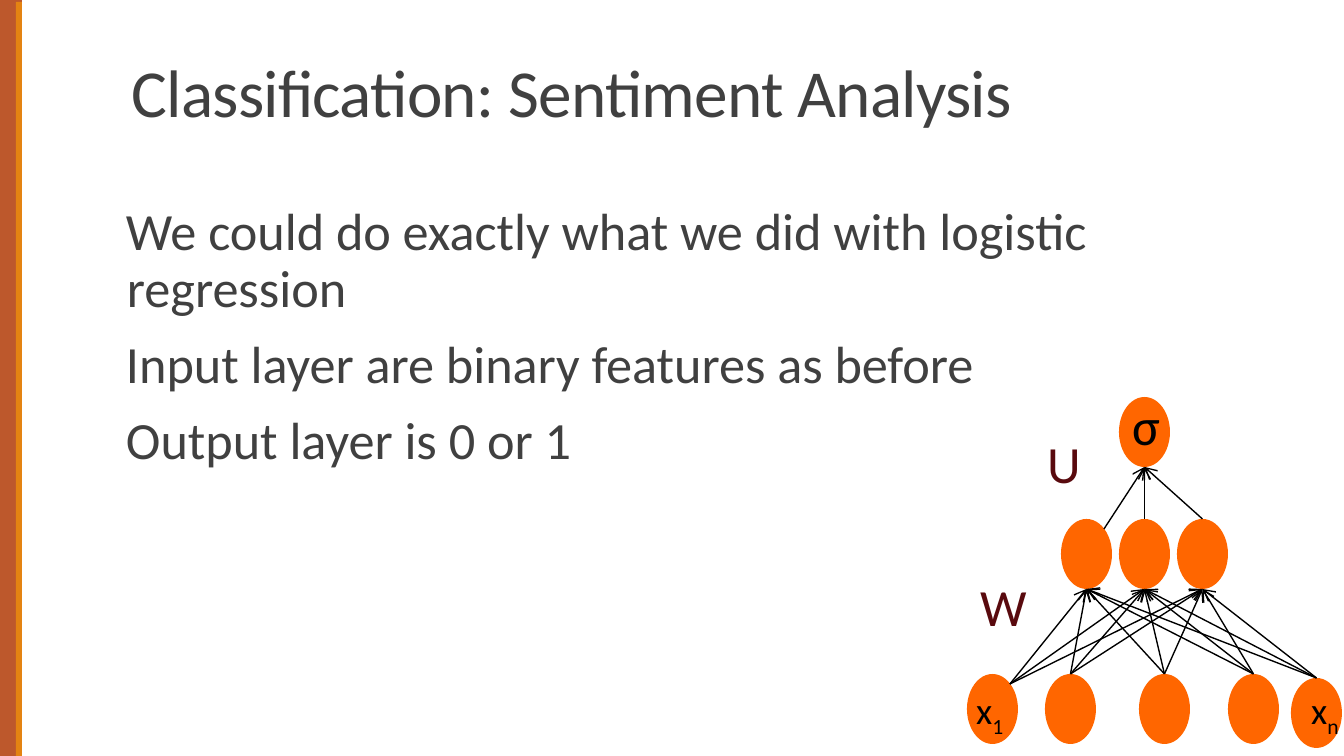
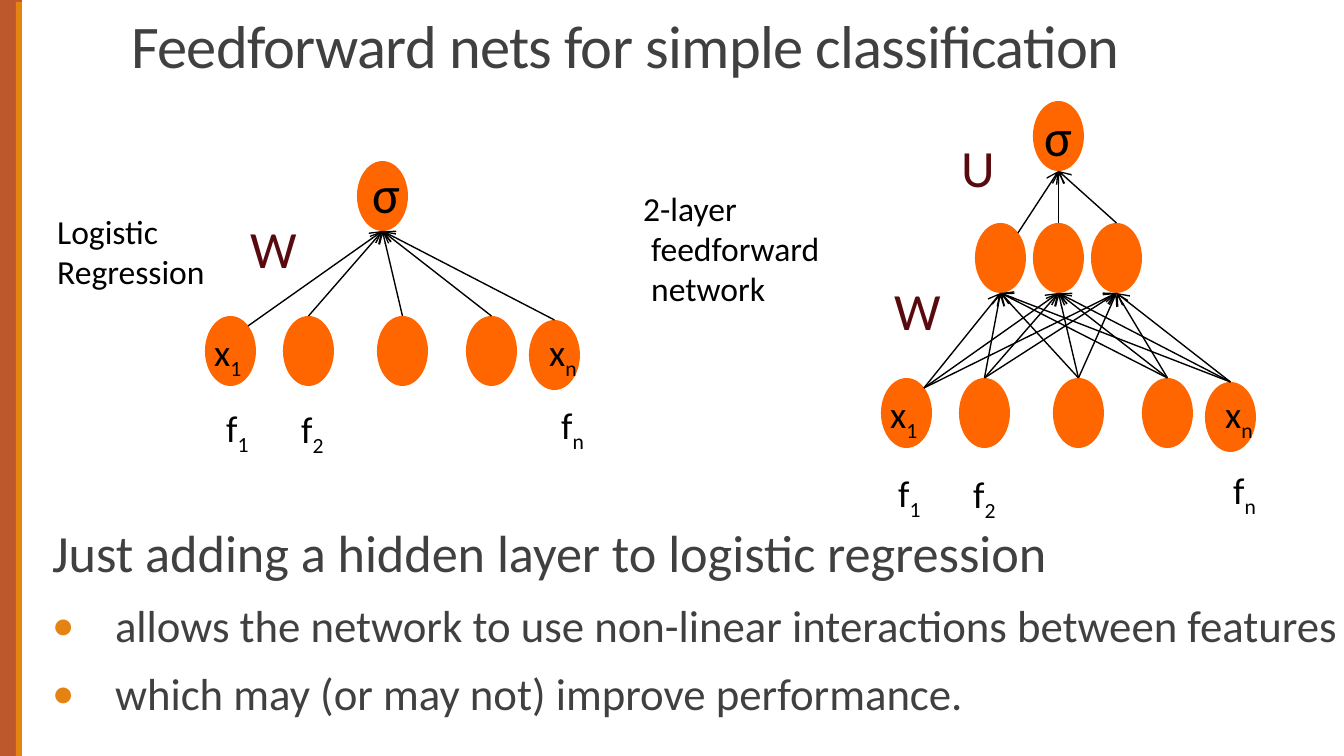
from lxml.etree import SubElement
from pptx import Presentation
from pptx.dml.color import RGBColor
from pptx.enum.shapes import MSO_CONNECTOR as CONN, MSO_SHAPE as SHAPE
from pptx.enum.text import MSO_ANCHOR as ANCHOR, MSO_AUTO_SIZE as AUTO, PP_ALIGN as ALIGN
from pptx.oxml.ns import qn
from pptx.util import Pt

PX = 914400 / 134.4
FONT = "Calibri"
COLORS = {
    "band": "BD582C", "accent": "E48312", "text": "404040",
    "node": "FF6600", "weight": "590A0E", "ink": "000000",
}
SLIDE_W, SLIDE_H = 1344, 756
NODE_W, NODE_H = 51, 70

# Network geometry, measured from the first input node
INPUTS = [(0, 0), (78, 0), (172, 0), (261, 0), (324, 4)]
HIDDEN_Y, OUTPUT_Y = -155, -277
HIDDEN = [(94 + 58 * i, HIDDEN_Y) for i in range(3)]
OUTPUT_X = HIDDEN[1][0]
FEATURES = [("f_1", 4, 86), ("f_2", 79, 87), ("f_n", 339, 83)]


def px(*lengths):
    return [round(n * PX) for n in lengths]


def rgb(name):
    return RGBColor.from_string(COLORS[name])


def apply(obj, **fmt):
    for key, value in fmt.items():
        setattr(obj, key, value)


def add_run(p, text, size, color, **attrs):
    r = p.add_run()
    r.text = text
    apply(r.font, name=FONT, size=Pt(size))
    r.font.color.rgb = rgb(color)
    for key, value in attrs.items():
        r._r.get_or_add_rPr().set(key, value)


def set_indent(p, left, hanging=0):
    pPr = p._p.get_or_add_pPr()
    for key, value in zip(("marL", "indent"), px(left, -hanging)):
        pPr.set(key, str(value))
    return pPr


# Shared slide parts
def add_solid(shapes, kind, box, color):
    s = shapes.add_shape(kind, *px(*box))
    s.shadow.inherit = False
    s.fill.solid()
    s.fill.fore_color.rgb = rgb(color)
    s.line.fill.background()


def place(sp, box):
    apply(sp, **dict(zip(("left", "top", "width", "height"), px(*box))))


def add_title(slide, text, box, size):
    sp = slide.shapes.title
    place(sp, box)
    tf = sp.text_frame
    apply(tf, vertical_anchor=ANCHOR.BOTTOM, word_wrap=True, auto_size=AUTO.NONE)
    p = tf.paragraphs[0]
    apply(p, alignment=ALIGN.LEFT, line_spacing=0.85)
    add_run(p, text, size, "text", spc="-40")


def add_body(slide, items, box):
    """Each item is (text, size, bulleted)."""
    sp = slide.placeholders[1]
    place(sp, box)
    tf = sp.text_frame
    apply(tf, margin_left=0, margin_right=0, vertical_anchor=ANCHOR.TOP,
          word_wrap=True, auto_size=AUTO.NONE)
    for i, (text, size, bulleted) in enumerate(items):
        p = tf.add_paragraph() if i else tf.paragraphs[0]
        indent = 63 if bulleted else 1
        pPr = set_indent(p, indent, indent)
        if bulleted:
            clr = SubElement(pPr, qn("a:buClr"))
            SubElement(clr, qn("a:srgbClr"), val=COLORS["accent"])
            SubElement(pPr, qn("a:buFont"), typeface=FONT)
            SubElement(pPr, qn("a:buChar"), char="•")
        else:
            SubElement(pPr, qn("a:buNone"))
        apply(p, alignment=ALIGN.LEFT, line_spacing=0.9,
              space_before=Pt(9 if i else 0), space_after=Pt(1.5))
        add_run(p, text, size, "text")


def new_slide(prs):
    slide = prs.slides.add_slide(prs.slide_layouts[1])
    add_solid(slide.shapes, SHAPE.RECTANGLE, (0, 0, 22, SLIDE_H), "band")
    add_solid(slide.shapes, SHAPE.RECTANGLE, (16, 2, 6, SLIDE_H - 2), "accent")
    return slide


# Labels: an underscore starts a subscript
def add_label(shapes, lines, box, size, color="ink", rest_indent=0):
    tf = shapes.add_textbox(*px(*box)).text_frame
    tf.word_wrap = True
    for i, line in enumerate(lines):
        p = tf.add_paragraph() if i else tf.paragraphs[0]
        if i and rest_indent:
            set_indent(p, rest_indent)
        base, _, sub = line.partition("_")
        add_run(p, base, size, color)
        if sub:
            add_run(p, sub, size, color, baseline="-25000")


def add_symbol(shapes, text, x, y, width=51):
    add_label(shapes, [text], (x, y, width, 59), 20)


def add_weight(shapes, text, x, y):
    add_label(shapes, [text], (x, y, 31, 77), 28, "weight")


def add_sigma(slide, x, y):
    add_label(slide.shapes, ["σ"], (x, y, 55, 77), 28)


# Network diagram
def add_arrow(shapes, start, end):
    c = shapes.add_connector(CONN.STRAIGHT, *px(*start, *end))
    c.line.color.rgb = rgb("ink")
    c.line.width = Pt(0.75)
    SubElement(c.line._get_or_add_ln(), qn("a:tailEnd"), type="arrow")
    SubElement(c._element.spPr, qn("a:effectLst"))


def connect(shapes, lower, upper):
    """Join every lower node to every upper one; the first leaves at its right shoulder."""
    for i, (x, y) in enumerate(lower):
        start = (x + NODE_W / 2, y) if i else (x + 43, y + 10)
        for ux, uy in upper:
            add_arrow(shapes, start, (ux + NODE_W / 2, uy + NODE_H))


def add_network(slide, x, y, hidden=True, feature_shift=None):
    shapes = slide.shapes.add_group_shape().shapes
    output = [(OUTPUT_X, OUTPUT_Y if hidden else HIDDEN_Y)]
    layers = [INPUTS, HIDDEN, output] if hidden else [INPUTS, output]
    layers = [[(x + dx, y + dy) for dx, dy in layer] for layer in layers]
    for layer in layers:
        for node in layer:
            add_solid(shapes, SHAPE.OVAL, (*node, NODE_W, NODE_H), "node")
    for lower, upper in zip(layers, layers[1:]):
        connect(shapes, lower, upper)
    add_weight(shapes, "W", x + (0 if hidden else 32), y - 106)
    if hidden:
        add_weight(shapes, "U", x + 67, y - 249)
    add_symbol(shapes, "x_n", x + 331, y + 7, 56)
    add_symbol(shapes, "x_1", x - 4, y + 7, 87)
    if feature_shift:
        sx, sy = feature_shift
        for text, dx, dy in FEATURES:
            add_symbol(shapes, text, x + dx + sx, y + dy + sy)


def sentiment_slide(prs):
    slide = new_slide(prs)
    add_title(slide, "Classification: Sentiment Analysis", (118, 20, 1204, 118), 36)
    add_body(slide, [
        ("We could do exactly what we did with logistic regression", 28, False),
        ("Input layer are binary features as before", 28, False),
        ("Output layer is 0 or 1", 28, False),
    ], (126, 199, 1071, 515))
    add_network(slide, 967, 674)
    add_sigma(slide, 1119, 387)


def feedforward_slide(prs):
    slide = new_slide(prs)
    add_title(slide, "Feedforward nets for simple classification",
              (118, -11, 1109, 99), 32.4)
    add_body(slide, [
        ("Just adding a hidden layer to logistic regression", 28, False),
        ("allows the network to use non-linear interactions between features", 24, True),
        ("which may (or may not) improve performance.", 24, True),
    ], (52, 521, 1288, 504))
    add_network(slide, 881, 378, feature_shift=(0, 0))
    add_network(slide, 205, 316, hidden=False, feature_shift=(4, -3))
    add_label(slide.shapes, ["Logistic", "Regression"], (44, 204, 178, 95), 18)
    add_label(slide.shapes, ["2-layer", "feedforward", "network"],
              (630, 181, 206, 136), 18, rest_indent=8)
    add_sigma(slide, 1031, 98)
    add_sigma(slide, 359, 155)


def main():
    prs = Presentation()
    prs.slide_width, prs.slide_height = px(SLIDE_W, SLIDE_H)
    sentiment_slide(prs)
    feedforward_slide(prs)
    prs.save("out.pptx")


if __name__ == "__main__":
    main()
